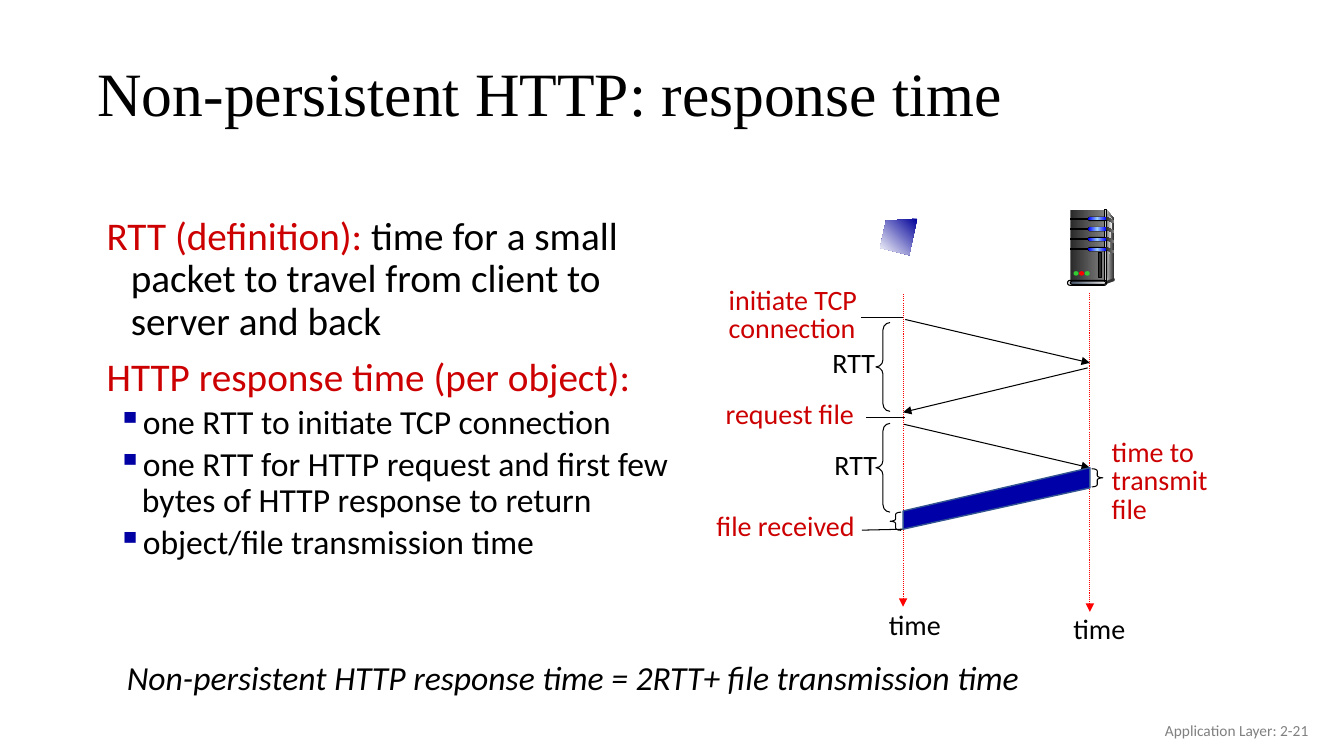
from dataclasses import dataclass
from typing import Any, NamedTuple, Optional

from lxml.etree import SubElement
from pptx import Presentation
from pptx.dml.color import RGBColor
from pptx.enum.dml import MSO_LINE
from pptx.enum.shapes import MSO_CONNECTOR, MSO_SHAPE as Preset
from pptx.enum.text import MSO_ANCHOR as Anchor, MSO_AUTO_SIZE as AutoSize, PP_ALIGN as Align
from pptx.oxml.ns import qn
from pptx.util import Pt


@dataclass(frozen=True)
class Theme:
    body_font: str = "Calibri"
    title_font: str = "Times New Roman"
    title_size: float = 44
    lead_size: float = 28
    text_size: float = 24
    label_size: float = 20
    footer_size: float = 11
    ink: str = "000000"
    red: str = "CC0000"
    axis: str = "FF0000"
    bullet: str = "0000A3"
    transfer: str = "0000A8"
    transfer_edge: str = "325491"
    footer: str = "808080"
    green: str = "33CC33"
    dark: str = "333333"
    silver: str = "DDDDDD"
    case: tuple = ("292929", "808080")
    side: tuple = ("DDDDDD", "333333")
    bezel: tuple = ("808080", "F8F8F8")
    pillar: tuple = ("333333", "DDDDDD", "333333")
    glow: tuple = ("0000FF", "99CCFF", "0000FF")
    base: tuple = ("44546A", "E7E6E6")
    screen: tuple = ("000099", "FFFFFF")


THEME = Theme()


class Box(NamedTuple):
    left: float
    top: float
    width: float
    height: float


class Span(NamedTuple):
    text: str
    size: float
    color: str = THEME.ink
    font: str = THEME.body_font
    italic: bool = False


@dataclass(frozen=True)
class Para:
    spans: tuple
    spacing: float = 1.0
    before: float = 0
    margin: float = 0
    hanging: float = 0
    bullet: str = ""
    align: Any = None


class Label(NamedTuple):
    box: Box
    lines: tuple
    color: str = THEME.red
    wrap: bool = False
    spacing: float = 0.85


class Stroke(NamedTuple):
    x1: float
    y1: float
    x2: float
    y2: float
    color: str = THEME.ink
    arrow: bool = False
    dotted: bool = False


class Brace(NamedTuple):
    preset: Any
    box: Box
    curl: float


def write(shapes: Any, box: Box, paras: list[Para], wrap: bool = True,
          anchor: Any = Anchor.TOP, fit: bool = False) -> None:
    frame = shapes.add_textbox(*map(Pt, box)).text_frame
    frame.word_wrap = wrap
    frame.vertical_anchor = anchor
    if fit:
        frame.auto_size = AutoSize.SHAPE_TO_FIT_TEXT
    for index, para in enumerate(paras):
        line = frame.add_paragraph() if index else frame.paragraphs[0]
        props = line._p.get_or_add_pPr()
        if para.hanging:
            props.set("marL", str(Pt(para.margin)))
            props.set("indent", str(-Pt(para.hanging)))
        if para.bullet:
            SubElement(SubElement(props, qn("a:buClr")), qn("a:srgbClr"), val=THEME.bullet)
            SubElement(props, qn("a:buChar"), char=para.bullet)
        line.line_spacing = para.spacing
        if para.before:
            line.space_before = Pt(para.before)
        if para.align is not None:
            line.alignment = para.align
        for span in para.spans:
            run = line.add_run()
            run.text = span.text
            run.font.name = span.font
            run.font.size = Pt(span.size)
            run.font.italic = span.italic
            run.font.color.rgb = RGBColor.from_string(span.color)


def paint(shape: Any, fill: Any, edge: Optional[str] = None, width: float = 0.75,
          angle: float = 0) -> None:
    """Fill with one colour, a tuple of evenly spaced gradient colours, or nothing."""
    shape.shadow.inherit = False
    if fill is None:
        shape.fill.background()
    elif isinstance(fill, str):
        shape.fill.solid()
        shape.fill.fore_color.rgb = RGBColor.from_string(fill)
    else:
        shape.fill.gradient()
        shape.fill.gradient_angle = angle
        stops = shape._element.spPr.find(".//" + qn("a:gsLst"))
        stops.clear()
        for index, color in enumerate(fill):
            stop = SubElement(stops, qn("a:gs"), pos=str(100000 * index // (len(fill) - 1)))
            SubElement(stop, qn("a:srgbClr"), val=color)
    if edge:
        shape.line.color.rgb = RGBColor.from_string(edge)
        shape.line.width = Pt(width)
    else:
        shape.line.fill.background()


def block(shapes: Any, preset: Any, box: Box, fill: Any, edge: Optional[str] = None) -> None:
    shape = shapes.add_shape(preset, *map(Pt, box))
    if preset == Preset.ROUNDED_RECTANGLE:
        shape.adjustments[0] = 0.5
    paint(shape, fill, edge)


def polygon(shapes: Any, points: list[tuple[float, float]], fill: Any,
            edge: Optional[str] = None, angle: float = 0) -> None:
    corners = [(Pt(x), Pt(y)) for x, y in points]
    outline = shapes.build_freeform(*corners[0], scale=1.0)
    outline.add_line_segments(corners[1:], close=True)
    paint(outline.convert_to_shape(), fill, edge, 1, angle)


def draw_stroke(shapes: Any, stroke: Stroke) -> None:
    line = shapes.add_connector(MSO_CONNECTOR.STRAIGHT, *map(Pt, stroke[:4]))
    line.line.color.rgb = RGBColor.from_string(stroke.color)
    line.line.width = Pt(0.75)
    if stroke.dotted:
        line.line.dash_style = MSO_LINE.ROUND_DOT
    props = line._element.spPr
    if stroke.arrow:
        SubElement(props.find(qn("a:ln")), qn("a:tailEnd"), type="triangle")
    SubElement(props, qn("a:effectLst"))


def draw_brace(shapes: Any, brace: Brace) -> None:
    shape = shapes.add_shape(brace.preset, *map(Pt, brace.box))
    shape.adjustments[0] = brace.curl
    paint(shape, None, THEME.ink)


def draw_server(shapes: Any) -> None:
    rect, pill, dot = Preset.RECTANGLE, Preset.ROUNDED_RECTANGLE, Preset.OVAL
    polygon(shapes, [(790.6, 149.8), (795.6, 156.2), (795.6, 198.7), (789.1, 200.9)], THEME.side)
    block(shapes, rect, Box(764.6, 149.8, 24.5, 51.1), THEME.case)
    polygon(shapes, [(790.6, 152.6), (794.2, 157), (790.6, 199.4)], THEME.bezel)
    block(shapes, rect, Box(789.1, 149.8, 1.4, 51.8), THEME.pillar, THEME.ink)
    for bay in range(4):
        top = 154.8 + 7.2 * bay
        block(shapes, rect, Box(764.6, top + 1, 13.7, 1.1), THEME.ink, THEME.ink)
        block(shapes, pill, Box(776.9, top, 13.7, 3.2), THEME.ink)
        block(shapes, pill, Box(777.4, top + 0.5, 12.8, 2.2), THEME.glow)
        polygon(shapes, [(790.2, top), (795.8, top + 2.8), (795.8, top + 4.6),
                         (790.2, top + 2.2)], THEME.case)
    block(shapes, dot, Box(794.9, 198.7, 1.4, 2.2), THEME.dark)
    polygon(shapes, [(789.8, 200.9), (789.8, 203), (795.6, 200.9), (795.6, 198.7)], THEME.dark)
    block(shapes, pill, Box(762.5, 200.2, 28.1, 3.6), THEME.silver, THEME.ink)
    block(shapes, pill, Box(764.6, 200.9, 25.2, 2.2), THEME.base, THEME.ink)
    for index, color in enumerate((THEME.green, THEME.axis, THEME.green)):
        block(shapes, dot, Box(766.8 + 4 * index, 193.7, 3.6, 3.2), color)
    block(shapes, rect, Box(784.8, 180.7, 2.2, 17.3), THEME.case[0], THEME.ink)


CLIENT_X, SERVER_X = 645.1, 778.5
STROKES = [
    Stroke(CLIENT_X, 210.2, CLIENT_X, 433.4, THEME.axis, True, True),
    Stroke(SERVER_X, 209.5, SERVER_X, 437, THEME.axis, True, True),
    Stroke(646.6, 228.2, SERVER_X, 259.2, arrow=True),
    Stroke(776.9, 262.8, CLIENT_X, 294.5, arrow=True),
    Stroke(645.8, 303.1, SERVER_X, 334.1, arrow=True),
    Stroke(614.9, 226.8, CLIENT_X, 226.8),
    Stroke(618.5, 298.1, 646.6, 298.1),
    Stroke(CLIENT_X, 378, 615.6, 378.7),
]
BRACES = [
    Brace(Preset.LEFT_BRACE, Box(625.7, 230.4, 10.1, 63.4), 0.52),
    Brace(Preset.LEFT_BRACE, Box(625.7, 302.4, 10.1, 63.4), 0.52),
    Brace(Preset.RIGHT_BRACE, Box(779.8, 334.8, 7.9, 13), 0.2),
    Brace(Preset.LEFT_BRACE, Box(635.8, 365.8, 7.9, 13), 0.2),
]
LABELS = [
    Label(Box(787, 310.3, 88.6, 69.1), ("time to", "transmit", "file")),
    Label(Box(513.4, 201.6, 107.3, 49), ("initiate TCP", "connection")),
    Label(Box(587.5, 247, 45.4, 28.1), ("RTT",), THEME.ink),
    Label(Box(511.2, 283, 154.8, 28.1), ("request file",), wrap=True),
    Label(Box(589, 319.7, 45.4, 28.1), ("RTT",), THEME.ink),
    Label(Box(504.7, 363.6, 129.6, 28.1), ("file received",), wrap=True),
    Label(Box(627.8, 434.2, 52.6, 28.1), ("time",), THEME.ink),
    Label(Box(759.6, 433.4, 52.6, 31.7), ("time",), THEME.ink, spacing=1.0),
]
STEPS = [
    "one RTT to initiate TCP connection",
    "one RTT for HTTP request and first few bytes of HTTP response to return",
    "object/file transmission time",
]


def main() -> None:
    deck = Presentation()
    deck.slide_width, deck.slide_height = Pt(960), Pt(540)
    shapes = deck.slides.add_slide(deck.slide_layouts[6]).shapes

    title = Span("Non-persistent HTTP: response time", THEME.title_size, font=THEME.title_font)
    write(shapes, Box(62.6, 33.8, 828, 70.6), [Para((title,), 0.9)], anchor=Anchor.MIDDLE)
    definition = (Span("RTT (definition):", THEME.lead_size, THEME.red),
                  Span(" time for a small packet to travel from client to server and back",
                       THEME.lead_size))
    response = Span("HTTP response time (per object):", THEME.lead_size, THEME.red)
    write(shapes, Box(58.3, 151.2, 447.8, 262.8), [
        Para(definition, 0.9, 0, 28.1, 17.3),
        Para((response,), 0.9, 10, 28.1, 17.3),
        *(Para((Span(step, THEME.text_size),), 0.9, 4, 36, 17.3, "▪") for step in STEPS),
    ])

    for stroke in STROKES:
        draw_stroke(shapes, stroke)
    for label in LABELS:
        lines = [Para((Span(text, THEME.label_size, label.color),), label.spacing)
                 for text in label.lines]
        write(shapes, label.box, lines, label.wrap, fit=True)
    draw_server(shapes.add_group_shape().shapes)
    polygon(shapes, [(655.2, 156.2), (632.9, 157.7), (628.6, 177.1), (649.4, 182.2)],
            THEME.screen, angle=225)
    polygon(shapes, [(CLIENT_X, 365), (SERVER_X, 334.1), (SERVER_X, 348.5), (CLIENT_X, 378)],
            THEME.transfer, THEME.transfer_edge)
    for brace in BRACES:
        draw_brace(shapes, brace)

    formula = Span("Non-persistent HTTP response time = 2RTT+ file transmission time",
                   THEME.text_size, italic=True)
    write(shapes, Box(83.5, 465.8, 728.6, 58.3), [Para((formula,))])
    footer = Span("Application Layer: 2-21", THEME.footer_size, THEME.footer)
    write(shapes, Box(725.8, 507.6, 216, 28.8), [Para((footer,), align=Align.RIGHT)],
          anchor=Anchor.MIDDLE)
    deck.save("out.pptx")


if __name__ == "__main__":
    main()
